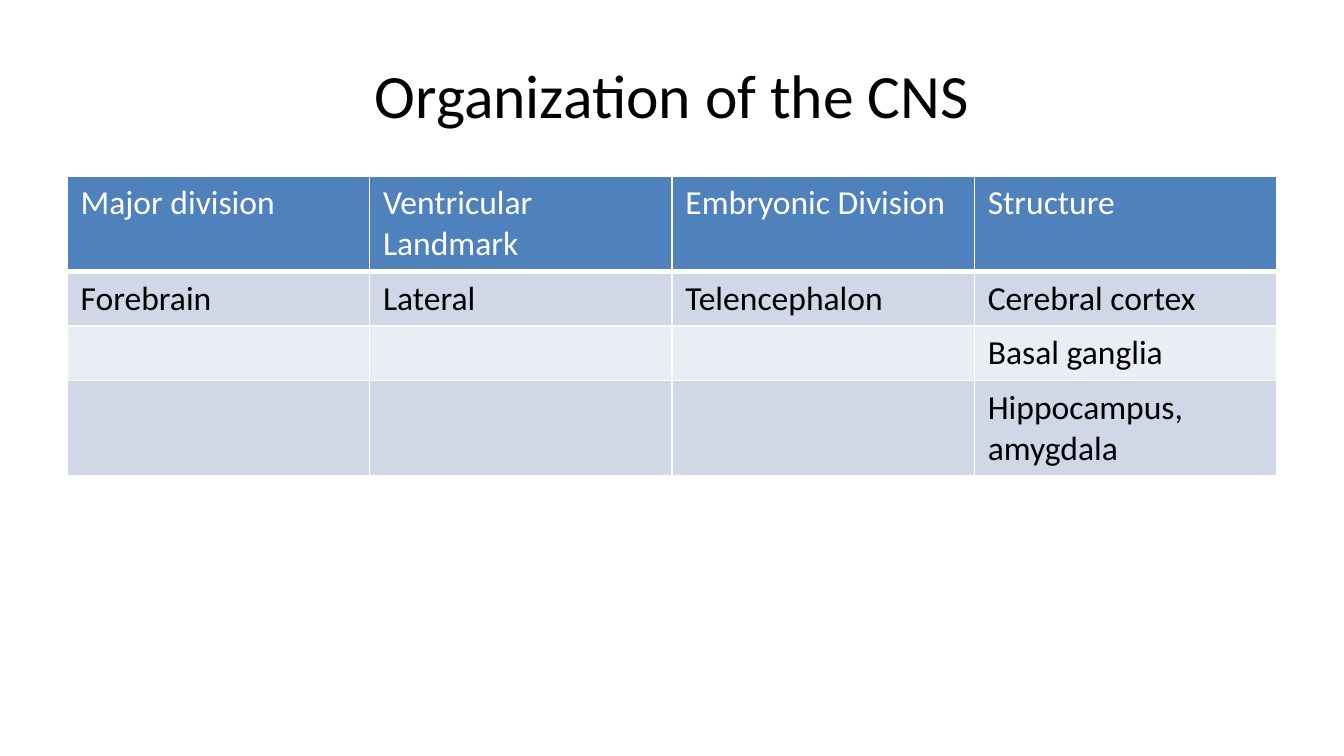
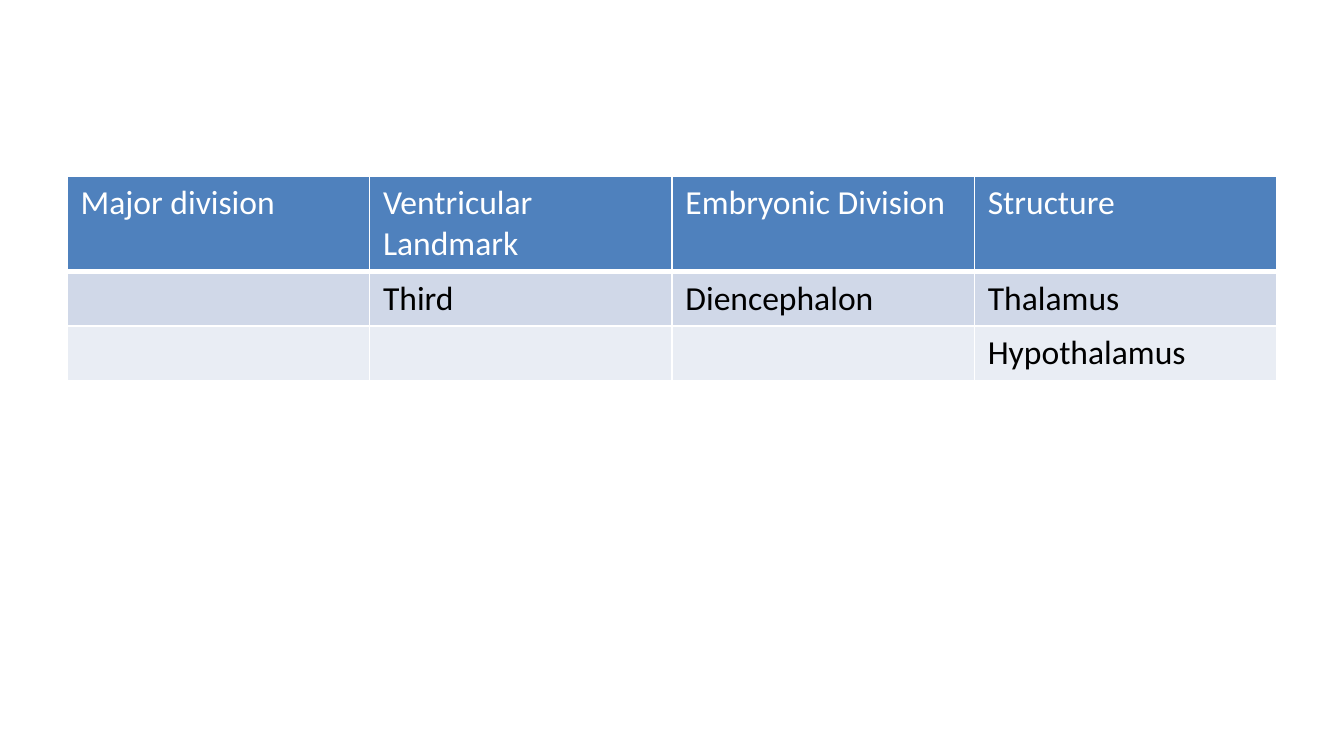
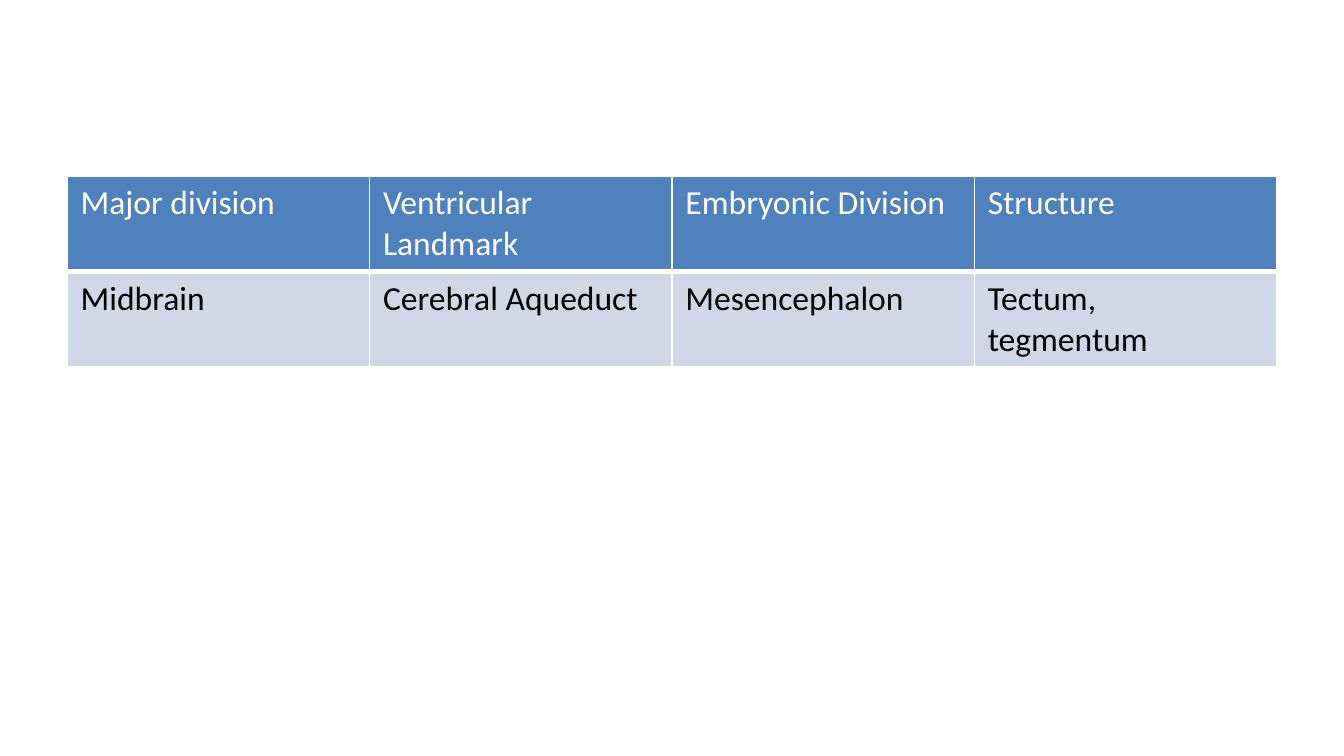
from lxml import etree
from pptx import Presentation
from pptx import util as u
from pptx.dml.color import RGBColor
from pptx.enum import text as t
from pptx.oxml.ns import qn

FONT = "Calibri"
BLACK, WHITE = "000000", "FFFFFF"
BLUE = "4F81BD"
BANDS = ("D0D8E8", "E9EDF4")
LEFT, WIDTH = 1.27, 22.86
ONE, TWO = 1.03, 1.79  # heights of rows with one and two lines of text
HEADS = ("Major division", "Ventricular Landmark",
         "Embryonic Division", "Structure")

# Body rows of each slide, each with its height
FORE = [
    (ONE, ("Forebrain", "Lateral", "Telencephalon", "Cerebral cortex")),
    (ONE, ("", "", "", "Basal ganglia")),
    (TWO, ("", "", "", "Hippocampus, amygdala")),
]
DIEN = [
    (ONE, ("", "Third", "Diencephalon", "Thalamus")),
    (ONE, ("", "", "", "Hypothalamus")),
]
MID = [
    (TWO, ("Midbrain", "Cerebral Aqueduct", "Mesencephalon",
           "Tectum, tegmentum")),
]


def color(code):
    return RGBColor.from_string(code)


def write(frame, words, size=18, ink=BLACK, align=t.PP_ALIGN.LEFT):
    para = frame.paragraphs[0]
    para.alignment = align
    if words:
        run = para.add_run()
        run.text = words
        run.font.name = FONT
        run.font.size = u.Pt(size)
        run.font.color.rgb = color(ink)


def edge(cell, side, width):
    line = etree.SubElement(cell._tc.get_or_add_tcPr(), qn("a:ln" + side),
                            w=str(u.Pt(width)))
    fill = etree.SubElement(line, qn("a:solidFill"))
    etree.SubElement(fill, qn("a:srgbClr"), val=WHITE)


def paint(cell, fill, base):
    # Borders come before the fill in the cell properties
    for side, width in (("L", 1), ("R", 1), ("T", 1), ("B", base)):
        edge(cell, side, width)
    cell.fill.solid()
    cell.fill.fore_color.rgb = color(fill)


def add_title(slide, words):
    title = slide.shapes.title
    title.left, title.top = u.Cm(LEFT), u.Cm(0.58)
    title.width, title.height = u.Cm(WIDTH), u.Cm(2.39)
    frame = title.text_frame
    frame.auto_size = t.MSO_AUTO_SIZE.NONE
    frame.vertical_anchor = t.MSO_ANCHOR.MIDDLE
    write(frame, words, size=33, align=t.PP_ALIGN.CENTER)


def add_grid(slide, body):
    rows = [(TWO, HEADS)] + body
    high = sum(row[0] for row in rows)
    grid = slide.shapes.add_table(len(rows), len(HEADS), u.Cm(LEFT),
                                  u.Cm(3.33), u.Cm(WIDTH), u.Cm(high)).table
    for r, (height, words) in enumerate(rows):
        grid.rows[r].height = u.Cm(height)
        head = r == 0
        fill = BLUE if head else BANDS[(r - 1) % 2]
        for c, word in enumerate(words):
            cell = grid.cell(r, c)
            paint(cell, fill, 3 if head else 1)
            write(cell.text_frame, word, ink=WHITE if head else BLACK)


def main():
    deck = Presentation()
    deck.slide_width, deck.slide_height = u.Cm(25.4), u.Cm(14.29)
    titled, blank = deck.slide_layouts[5], deck.slide_layouts[6]

    # Forebrain, under the title
    slide = deck.slides.add_slide(titled)
    add_title(slide, "Organization of the CNS")
    add_grid(slide, FORE)

    # Diencephalon and midbrain, without a title
    for body in (DIEN, MID):
        add_grid(deck.slides.add_slide(blank), body)

    deck.save("out.pptx")


if __name__ == "__main__":
    main()
